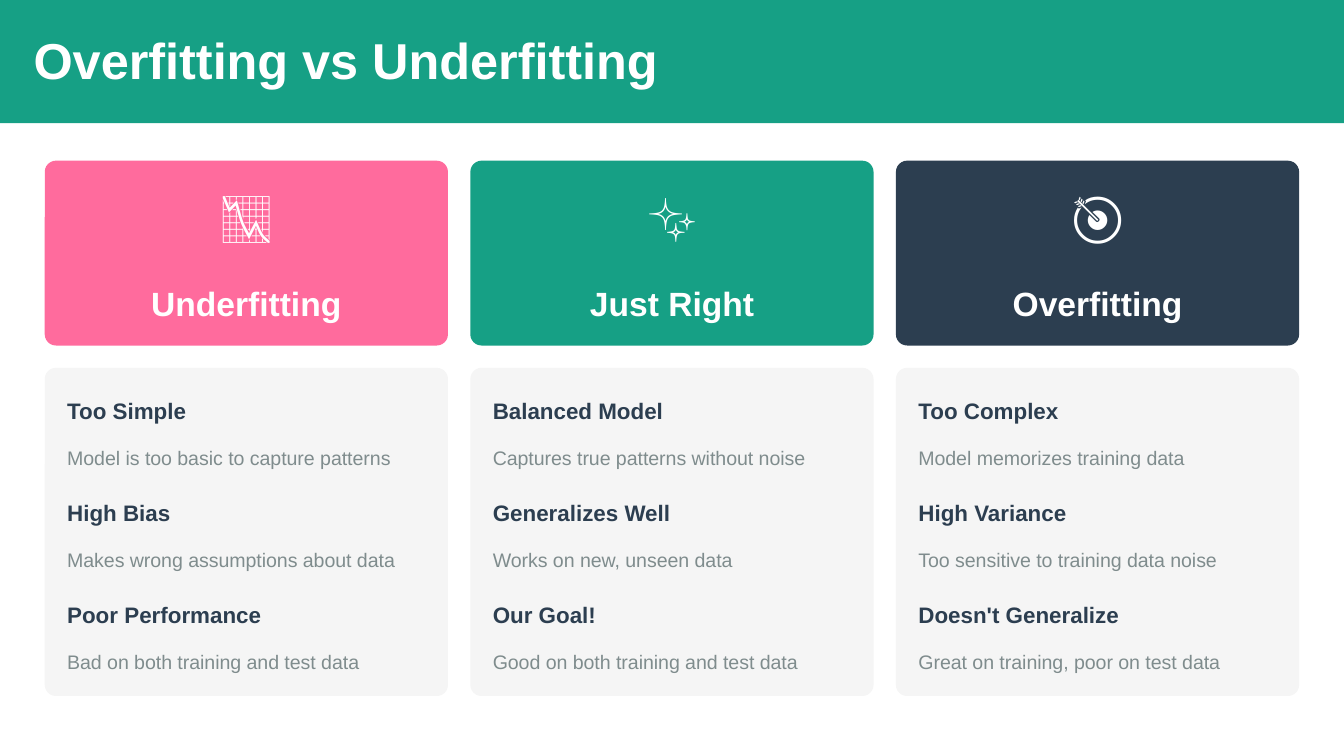
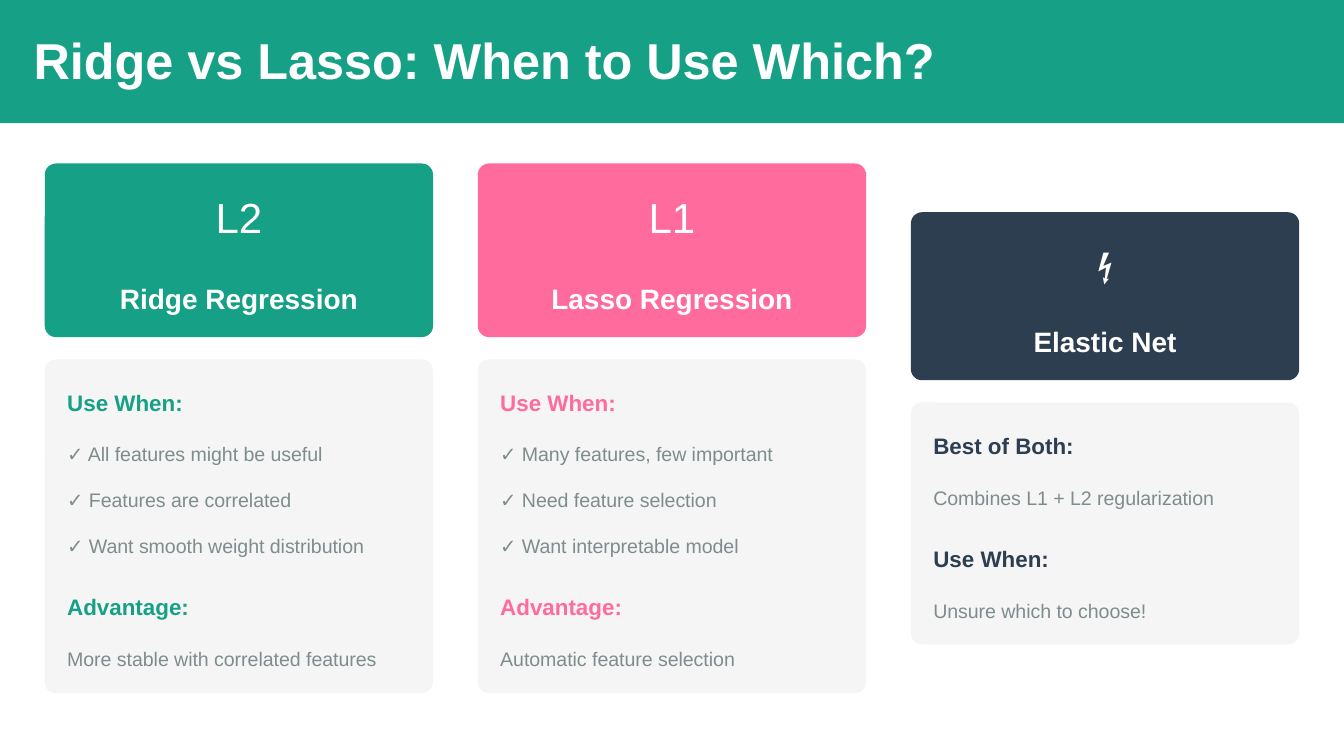
"""Build two slides that compare model fits and regularized regressions."""
from dataclasses import dataclass
from typing import NamedTuple

from pptx import Presentation
from pptx.dml.color import RGBColor
from pptx.enum.shapes import MSO_SHAPE as Shape
from pptx.enum.text import PP_ALIGN as Align
from pptx.util import Inches, Pt


class Style(NamedTuple):
    size: float
    leading: float
    bold: bool = False

    @property
    def height(self) -> float:
        return self.leading / 72


@dataclass(frozen=True)
class Theme:
    font: str = "Arial"
    teal: str = "16A085"
    pink: str = "FF6B9D"
    navy: str = "2C3E50"
    panel: str = "F5F5F5"
    grey: str = "7F8C8D"
    white: str = "FFFFFF"
    title: Style = Style(27, 30, True)
    icon_large: Style = Style(27, 30)
    icon_medium: Style = Style(22.5, 27)
    icon_small: Style = Style(18, 24)
    label_large: Style = Style(18, 24, True)
    label_small: Style = Style(15, 21, True)
    heading: Style = Style(12, 18, True)
    body: Style = Style(10.5, 15)


class Box(NamedTuple):
    left: float
    top: float
    width: float
    height: float


class Group(NamedTuple):
    heading: str
    items: tuple[str, ...]


class Card(NamedTuple):
    colour: str
    heading_colour: str
    icon: str
    icon_style: Style
    icon_width: float
    label: str
    label_width: float
    groups: tuple[Group, ...]


class Page(NamedTuple):
    title: str
    title_width: float
    column_gap: float
    label_style: Style
    after_heading: float
    after_item: float
    after_group: float
    cards: tuple[Card, ...]


class Row(NamedTuple):
    text: str
    style: Style
    colour: str
    after: float


THEME = Theme()
SLIDE_WIDTH = 10
SLIDE_HEIGHT = SLIDE_WIDTH * 9 / 16
BAND_HEIGHT = 66 / 72
MARGIN = 24 / 72
PAD = 12 / 72
ICON_TOP = 15 / 72
ICON_GAP = 18 / 72
ROW_GAP = 6
RADIUS = 6 / 72
CARD_MIDDLE = 229.5 / 72

PAGES = (
    Page(
        "Overfitting vs Underfitting", 4.86, PAD, THEME.label_large, 3.6, 6, 6,
        (
            Card(THEME.pink, THEME.navy, "📉", THEME.icon_large, 0.48, "Underfitting", 1.44, (
                Group("Too Simple", ("Model is too basic to capture patterns",)),
                Group("High Bias", ("Makes wrong assumptions about data",)),
                Group("Poor Performance", ("Bad on both training and test data",)),
            )),
            Card(THEME.teal, THEME.navy, "✨", THEME.icon_large, 0.48, "Just Right", 1.25, (
                Group("Balanced Model", ("Captures true patterns without noise",)),
                Group("Generalizes Well", ("Works on new, unseen data",)),
                Group("Our Goal!", ("Good on both training and test data",)),
            )),
            Card(THEME.navy, THEME.navy, "🎯", THEME.icon_large, 0.48, "Overfitting", 1.29, (
                Group("Too Complex", ("Model memorizes training data",)),
                Group("High Variance", ("Too sensitive to training data noise",)),
                Group("Doesn't Generalize", ("Great on training, poor on test data",)),
            )),
        ),
    ),
    Page(
        "Ridge vs Lasso: When to Use Which?", 6.85, 2 * PAD, THEME.label_small, 6, 3.6, 9.6,
        (
            Card(THEME.teal, THEME.teal, "L2", THEME.icon_medium, 0.35, "Ridge Regression", 1.81, (
                Group("Use When:", (
                    "✓ All features might be useful",
                    "✓ Features are correlated",
                    "✓ Want smooth weight distribution",
                )),
                Group("Advantage:", ("More stable with correlated features",)),
            )),
            Card(THEME.pink, THEME.pink, "L1", THEME.icon_medium, 0.35, "Lasso Regression", 1.83, (
                Group("Use When:", (
                    "✓ Many features, few important",
                    "✓ Need feature selection",
                    "✓ Want interpretable model",
                )),
                Group("Advantage:", ("Automatic feature selection",)),
            )),
            Card(THEME.navy, THEME.navy, "⚡", THEME.icon_small, 0.32, "Elastic Net", 1.09, (
                Group("Best of Both:", ("Combines L1 + L2 regularization",)),
                Group("Use When:", ("Unsure which to choose!",)),
            )),
        ),
    ),
)


def add_block(slide, box: Box, colour: str, rounded: bool = True) -> None:
    kind = Shape.ROUNDED_RECTANGLE if rounded else Shape.RECTANGLE
    sp = slide.shapes.add_shape(kind, *map(Inches, box))
    if rounded:
        sp.adjustments[0] = RADIUS / min(box.width, box.height)
    sp.shadow.inherit = False
    sp.fill.solid()
    sp.fill.fore_color.rgb = RGBColor.from_string(colour)
    sp.line.fill.background()


def add_text(slide, text: str, box: Box, style: Style, colour: str,
             align: Align = Align.LEFT, after: float = 0, wrap: bool = False) -> None:
    tf = slide.shapes.add_textbox(*map(Inches, box)).text_frame
    tf.margin_left = tf.margin_top = tf.margin_right = tf.margin_bottom = 0
    tf.word_wrap = wrap
    p = tf.paragraphs[0]
    p.text = text
    p.alignment = align
    p.line_spacing = Pt(style.leading)
    p.space_after = Pt(after)
    font = p.runs[0].font
    font.name = THEME.font
    font.size = Pt(style.size)
    font.bold = style.bold
    font.color.rgb = RGBColor.from_string(colour)


def list_rows(card: Card, page: Page) -> list[Row]:
    rows = []
    for group in card.groups:
        rows.append(Row(group.heading, THEME.heading, card.heading_colour, page.after_heading))
        for item in group.items:
            rows.append(Row(item, THEME.body, THEME.grey, page.after_item))
        rows[-1] = rows[-1]._replace(after=page.after_group)
    rows[-1] = rows[-1]._replace(after=0)
    return rows


def add_card(slide, card: Card, page: Page, left: float, width: float) -> None:
    rows = list_rows(card, page)
    icon, label = card.icon_style, page.label_style
    header_height = ICON_TOP + icon.height + ICON_GAP + label.height + PAD
    rows_height = sum(row.style.leading + row.after + ROW_GAP for row in rows) - ROW_GAP
    panel_height = rows_height / 72 + 2 * PAD
    top = CARD_MIDDLE - (header_height + PAD + panel_height) / 2
    centre = left + width / 2

    add_block(slide, Box(left, top, width, header_height), card.colour)
    y = top + ICON_TOP
    add_text(slide, card.icon, Box(centre - card.icon_width / 2, y, card.icon_width, icon.height),
             icon, THEME.white, Align.CENTER)
    y += icon.height + ICON_GAP
    add_text(slide, card.label,
             Box(centre - card.label_width / 2, y, card.label_width, label.height),
             label, THEME.white, Align.CENTER)

    panel_top = top + header_height + PAD
    add_block(slide, Box(left, panel_top, width, panel_height), THEME.panel)
    y = panel_top + PAD
    for row in rows:
        add_text(slide, row.text, Box(left + PAD, y, width - 0.28, row.style.height),
                 row.style, row.colour, after=row.after, wrap=True)
        y += (row.style.leading + row.after + ROW_GAP) / 72


def add_page(prs, page: Page) -> None:
    slide = prs.slides.add_slide(prs.slide_layouts[6])
    add_block(slide, Box(0, 0, SLIDE_WIDTH, BAND_HEIGHT), THEME.teal, rounded=False)
    add_text(slide, page.title, Box(0.25, 0.25, page.title_width, THEME.title.height),
             THEME.title, THEME.white)
    count = len(page.cards)
    width = (SLIDE_WIDTH - 2 * MARGIN - (count - 1) * page.column_gap) / count
    for i, card in enumerate(page.cards):
        add_card(slide, card, page, MARGIN + i * (width + page.column_gap), width)


def main() -> None:
    prs = Presentation()
    prs.slide_width = Inches(SLIDE_WIDTH)
    prs.slide_height = Inches(SLIDE_HEIGHT)
    for page in PAGES:
        add_page(prs, page)
    prs.save("out.pptx")


if __name__ == "__main__":
    main()
